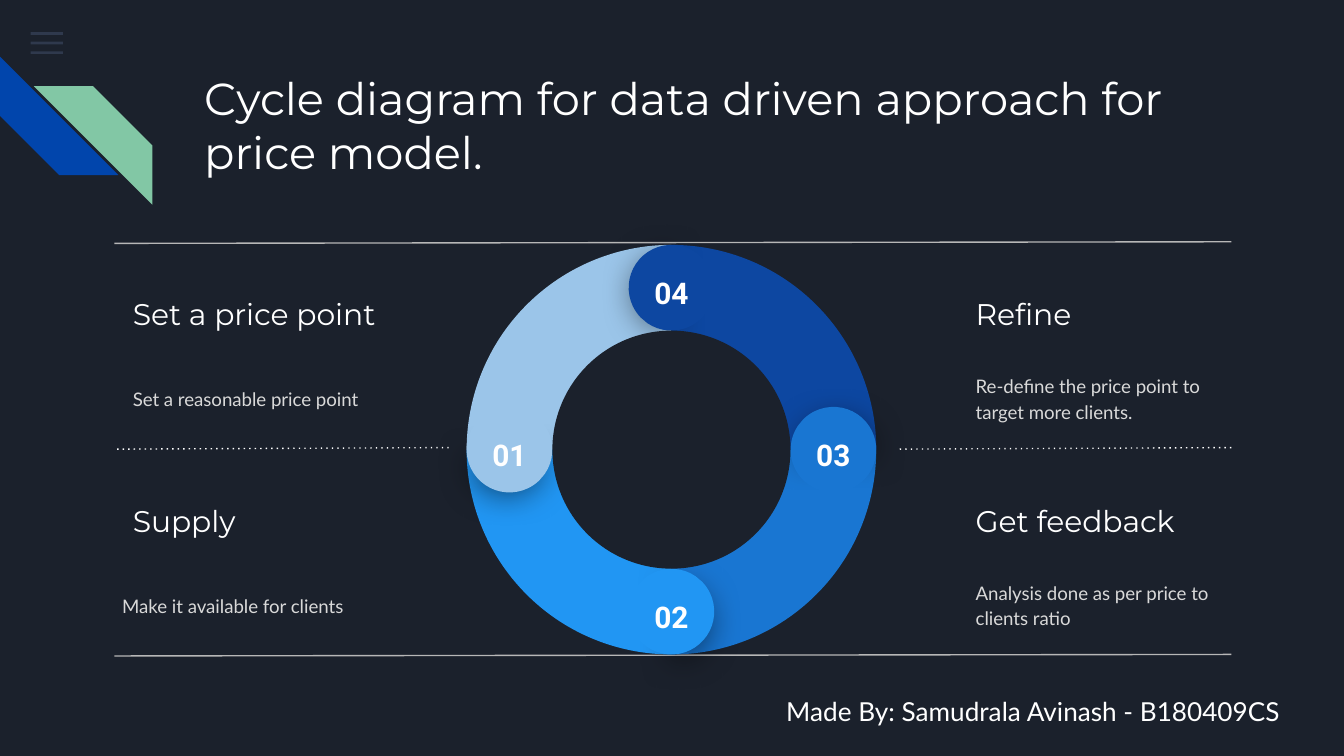
"""Build a dark slide with a four-step cycle ring and its captions."""
from math import cos, radians, sin

from lxml.etree import SubElement
from pptx import Presentation
from pptx.dml.color import RGBColor
from pptx.enum.dml import MSO_LINE
from pptx.enum.shapes import MSO_CONNECTOR, MSO_SHAPE
from pptx.enum.text import MSO_ANCHOR, MSO_AUTO_SIZE, PP_ALIGN
from pptx.oxml import parse_xml
from pptx.oxml.ns import nsdecls, qn
from pptx.util import Cm, Pt

SHADE = (
    f'<a:effectLst {nsdecls("a")}><a:outerShdw blurRad="228600" dist="50800" '
    'dir="5400000" algn="bl" rotWithShape="0"><a:srgbClr val="000000">'
    '<a:alpha val="54000"/></a:srgbClr></a:outerShdw></a:effectLst>'
)


def draw(kind, box, color, turn=0, adjust=()):
    shape = slide.shapes.add_shape(kind, *map(Cm, box))
    shape.shadow.inherit = False
    shape.fill.solid()
    shape.fill.fore_color.rgb = RGBColor.from_string(color)
    shape.line.fill.background()
    shape.rotation = turn % 360
    for i, value in enumerate(adjust):
        shape.adjustments[i] = value
    return shape


def write(shape, text, size, font, color="FFFFFF", anchor=MSO_ANCHOR.TOP,
          align=PP_ALIGN.LEFT, bold=False):
    frame = shape.text_frame
    frame.text = text
    frame.word_wrap = True
    frame.auto_size = MSO_AUTO_SIZE.NONE
    frame.vertical_anchor = anchor
    frame.margin_left = frame.margin_right = Cm(0.25)
    frame.margin_top = frame.margin_bottom = Cm(0.25)
    line = frame.paragraphs[0]
    line.alignment = align
    face = line.runs[0].font
    face.size, face.name, face.bold = Pt(size), font, bold
    face.color.rgb = RGBColor.from_string(color)
    return line


deck = Presentation()
deck.slide_width, deck.slide_height = Cm(25.4), Cm(14.29)
slide = deck.slides.add_slide(deck.slide_layouts[5])
slide.background.fill.solid()
slide.background.fill.fore_color.rgb = RGBColor.from_string("1B212C")

title = slide.shapes.title
title.left, title.top, title.width, title.height = map(Cm, (3.61, 1.09, 19.56, 2.54))
write(title, "Cycle diagram for data driven approach for price model.", 24, "Montserrat")

for i in range(3):
    bar = draw(MSO_SHAPE.RECTANGLE, (0.58, 0.61 + 0.18 * i, 0.61, 0.05), "55688B")
    tint = bar.fill._xPr.find(".//" + qn("a:srgbClr"))
    SubElement(tint, qn("a:alpha"), val="35000")

draw(MSO_SHAPE.DIAGONAL_STRIPE, (0, 1.07, 2.24, 2.24), "0145AC", 270, [0.5])
green = draw(MSO_SHAPE.DIAGONAL_STRIPE, (0.64, 1.63, 2.24, 2.24), "82C7A5", 0, [0.5])
green._element.spPr.find(qn("a:xfrm")).set("flipH", "1")

steps = [
    (2.26, 2.26, 5.31, "Set a price point", "Set a reasonable price point"),
    (2.26, 2.06, 9.22, "Supply", "Make it available for clients"),
    (18.19, 18.19, 5.31, "Refine", "Re-define the price point to target more clients."),
    (18.19, 18.19, 9.22, "Get feedback", "Analysis done as per price to clients ratio"),
]
for left, inset, top, head, note in steps:
    box = slide.shapes.add_textbox(Cm(left), Cm(top), Cm(5.16), Cm(1.24))
    write(box, head, 16, "Montserrat", anchor=MSO_ANCHOR.MIDDLE)
    box = slide.shapes.add_textbox(Cm(inset), Cm(top + 1.23), Cm(5.54), Cm(1.93))
    line = write(box, note, 10, "Lato", "D9D9D9", MSO_ANCHOR.MIDDLE)
    line.line_spacing = 1.15
    line.space_after = Pt(16)

rules = [
    (23.27, 2.16, 4.57, "B7B7B7", False),
    (8.48, 2.16, 8.46, "FFFFFF", True),
    (23.27, 16.94, 8.46, "FFFFFF", True),
    (23.27, 2.16, 12.37, "B7B7B7", False),
]
for start, end, top, color, dotted in rules:
    rule = slide.shapes.add_connector(
        MSO_CONNECTOR.STRAIGHT, Cm(start), Cm(top), Cm(end), Cm(top + 0.03))
    rule.line.color.rgb = RGBColor.from_string(color)
    rule.line.width = Pt(0.75)
    if dotted:
        rule.line.dash_style = MSO_LINE.ROUND_DOT
        rule._element.spPr.find(".//" + qn("a:prstDash")).set("val", "dot")
    SubElement(rule._element.spPr, qn("a:effectLst"))

mid_x, mid_y = 12.69, 8.5
colors = ["9BC5E9", "2196F3", "1976D2", "0D47A1"]
for i, color in enumerate(colors):
    draw(MSO_SHAPE.PIE, (mid_x - 3.87, mid_y - 3.87, 7.74, 7.74), color,
         -90 * i, [107.96, 162.01])

for i, color in enumerate(colors):
    angle = radians(180 - 90 * i)
    x, y = mid_x + 3.06 * cos(angle), mid_y + 3.06 * sin(angle)
    cap_x, cap_y = mid_x + 3.12 * cos(angle), mid_y + 3.12 * sin(angle)
    cap = draw(MSO_SHAPE.PIE, (cap_x - 0.72, cap_y - 0.72, 1.44, 1.44), color,
               39.5 - 90 * i, [189.54, 83.81])
    props = cap._element.spPr
    props.replace(props.find(qn("a:effectLst")), parse_xml(SHADE))
    draw(MSO_SHAPE.CHORD, (x - 0.81, y - 0.81, 1.62, 1.62), color,
         4.1 - 90 * i, [25.01, 18.12])
    box = slide.shapes.add_textbox(Cm(x - 0.71), Cm(y - 0.5), Cm(1.42), Cm(0.74))
    write(box, f"0{i + 1}", 16, "Roboto", align=PP_ALIGN.CENTER, bold=True)

draw(MSO_SHAPE.OVAL, (mid_x - 2.25, mid_y - 2.25, 4.5, 4.5), "1B212C")

box = slide.shapes.add_textbox(Cm(14.61), Cm(12.9), Cm(9.93), Cm(1.24))
write(box, "Made By: Samudrala Avinash - B180409CS", 14, "Lato")

deck.save("out.pptx")
